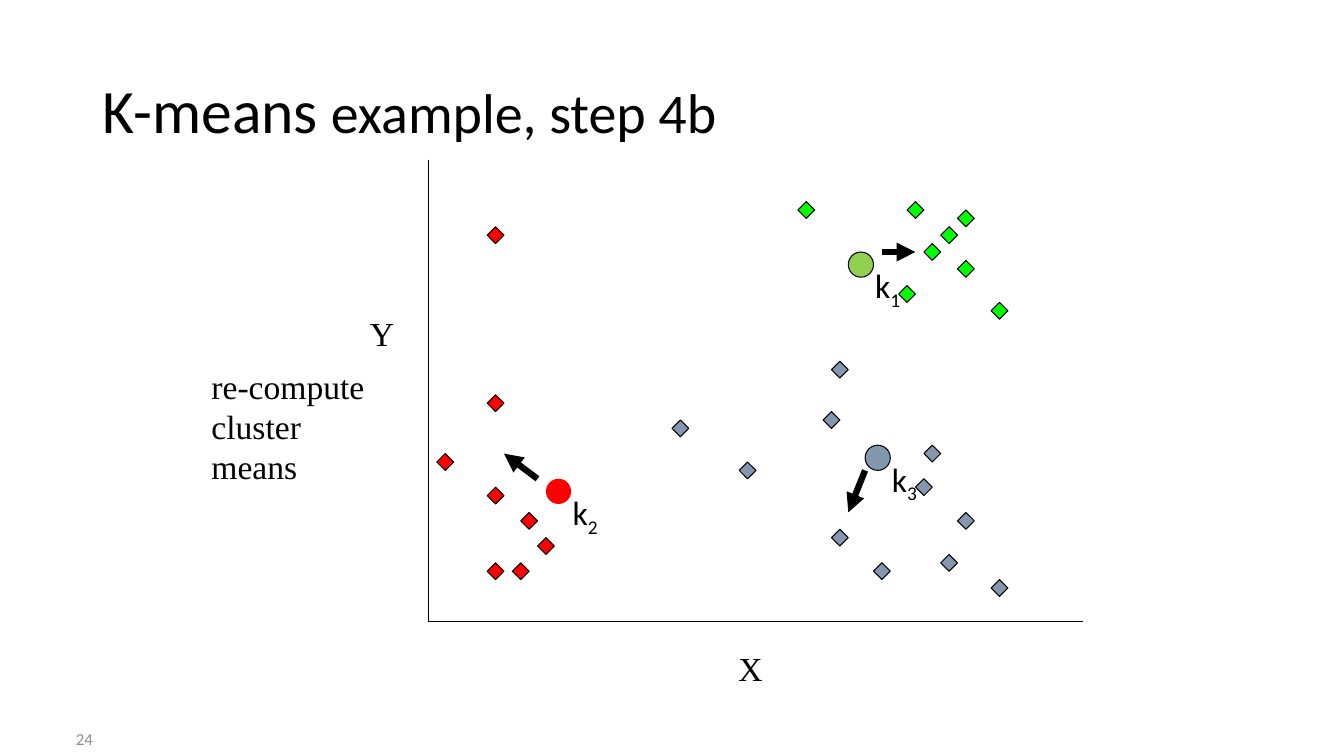
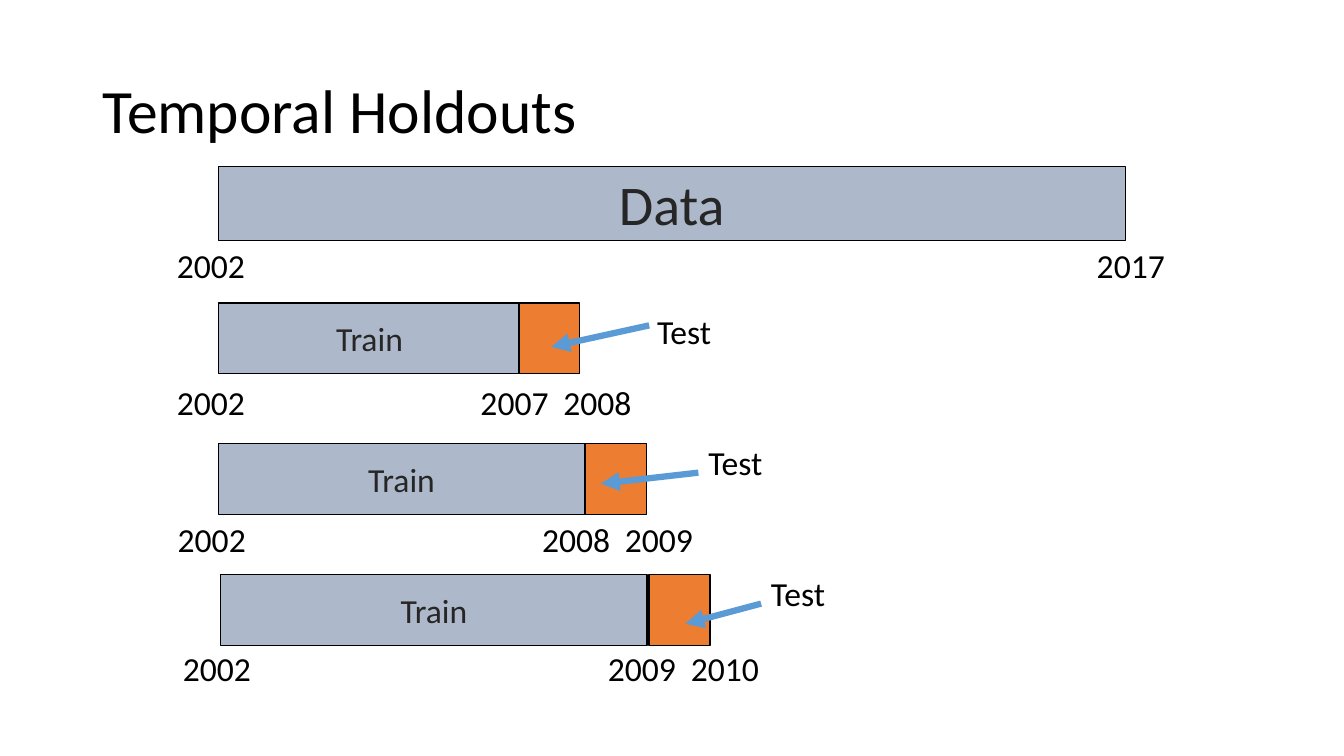
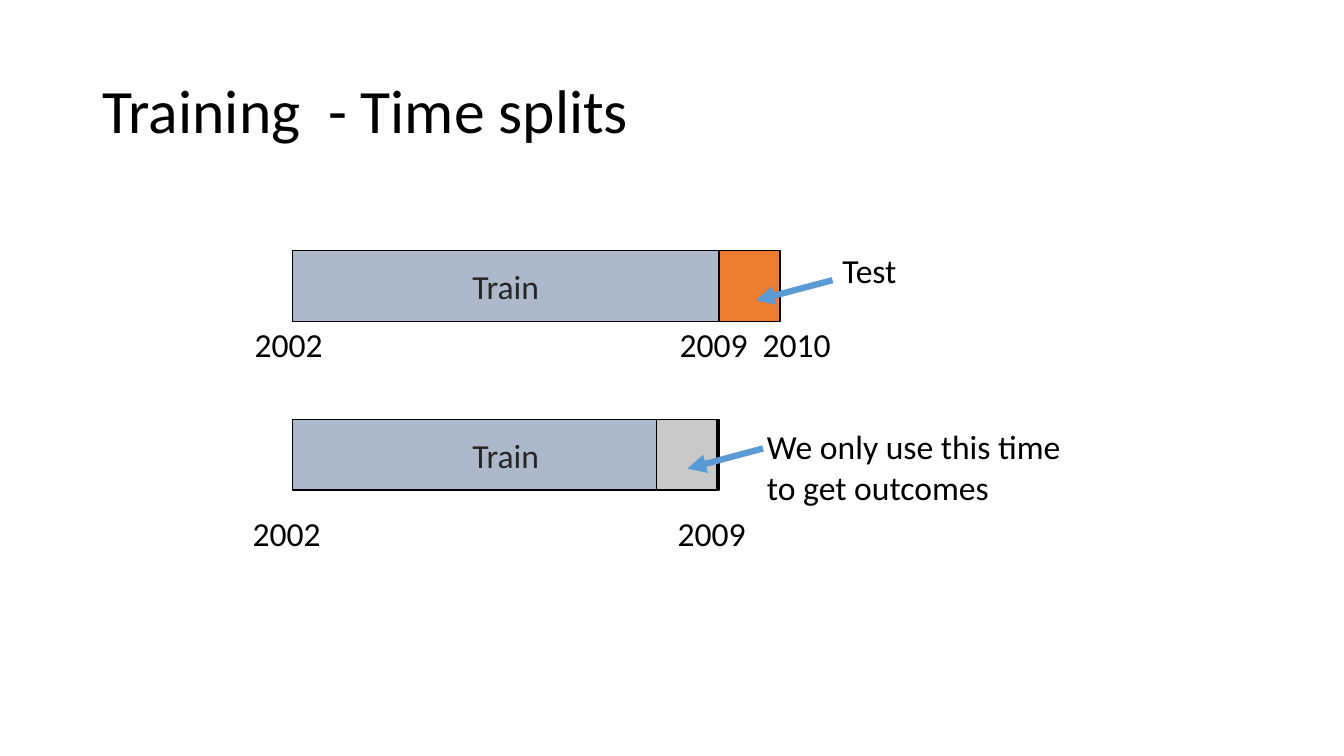
"""Build three slides on k-means clustering and temporal train/test splits."""
from lxml.etree import SubElement
from pptx import Presentation
from pptx.dml.color import RGBColor
from pptx.enum.shapes import MSO_CONNECTOR, MSO_SHAPE
from pptx.enum.text import MSO_ANCHOR, PP_ALIGN
from pptx.oxml.ns import qn
from pptx.util import Cm, Pt

BLACK, CHARCOAL, GREY = "000000", "262626", "8C8C8C"
RED, LIME, GREEN, SLATE = "FF0000", "00FF00", "92D050", "8497B0"
TRAIN, TEST, OUTCOME, POINTER = "ADB9CA", "ED7D31", "C9C9C9", "5B9BD5"
SANS, SERIF = "Calibri", "Times New Roman"
GRID = 2.54 / 12
YEAR_STEP = 1.53
LAST_YEAR_GAP = 2.09
BAR_HEIGHT = 1.78
TEST_WIDTH = 1.53
FIRST_YEAR = 2002


def draw(slide, x, y, width, height, kind=None, fill=None, outline=None, weight=1):
    """Add a preset shape, or a text box without a kind, and return its text frame."""
    place = Cm(x), Cm(y), Cm(width), Cm(height)
    if kind is None:
        frame = slide.shapes.add_textbox(*place).text_frame
        frame.word_wrap = True
        return frame
    shape = slide.shapes.add_shape(kind, *place)
    shape.shadow.inherit = False
    shape.fill.solid()
    shape.fill.fore_color.rgb = RGBColor.from_string(fill)
    if outline:
        shape.line.color.rgb = RGBColor.from_string(outline)
        shape.line.width = Pt(weight)
    else:
        shape.line.fill.background()
    return shape.text_frame


def write(paragraph, text, size=24, colour=BLACK, face=SANS):
    """Add one formatted run to a paragraph and return it."""
    run = paragraph.add_run()
    run.text = text
    run.font.size = Pt(size)
    run.font.name = face
    run.font.color.rgb = RGBColor.from_string(colour)
    return run


deck = Presentation()
deck.slide_width, deck.slide_height = Cm(33.87), Cm(19.05)
title_only = deck.slide_layouts[5]
layout_title = title_only.placeholders[0]
layout_title.left, layout_title.top = Cm(2.33), Cm(1.01)
layout_title.width, layout_title.height = Cm(29.21), Cm(3.68)

titles = [
    [("K-means", 44), (" example, step 4b", 40)],
    [("Temporal Holdouts", 44)],
    [("Training  - Time splits", 44)],
]
slides = []
for title_parts in titles:
    slide = deck.slides.add_slide(title_only)
    heading = slide.shapes.title.text_frame
    heading.vertical_anchor = MSO_ANCHOR.MIDDLE
    heading.paragraphs[0].alignment = PP_ALIGN.LEFT
    heading.paragraphs[0].line_spacing = 0.9
    for text, size in title_parts:
        write(heading.paragraphs[0], text, size)
    slides.append(slide)
kmeans, holdouts, splits = slides

page_number = draw(kmeans, 0, 18.21, 2.59, 0.84)
page_number.vertical_anchor = MSO_ANCHOR.MIDDLE
page_number.paragraphs[0].alignment = PP_ALIGN.RIGHT
write(page_number.paragraphs[0], "24", 12, GREY)

clusters = {
    RED: [(62, 61), (64, 64), (61, 67), (58, 58), (58, 27), (58, 47), (58, 67), (52, 54)],
    LIME: [(108, 24), (114, 25), (112, 27), (110, 29), (114, 31), (118, 36), (95, 24),
           (107, 34)],
    SLATE: [(80, 50), (99, 43), (99, 63), (104, 67), (109, 57), (98, 49), (88, 55),
            (114, 61), (112, 66), (110, 53), (118, 69)],
}
for colour, points in clusters.items():
    for column, row in points:
        draw(kmeans, column * GRID, row * GRID, 2 * GRID, 2 * GRID,
             MSO_SHAPE.DIAMOND, colour, BLACK, 0.75)

means = [("1", 101, 30, GREEN, BLACK), ("2", 65, 57, RED, None), ("3", 103, 53, SLATE, BLACK)]
for index, column, row, colour, outline in means:
    draw(kmeans, column * GRID, row * GRID, 3 * GRID, 3 * GRID,
         MSO_SHAPE.OVAL, colour, outline, 0.75)
    mean_name = draw(kmeans, (column + 2) * GRID, (row + 1) * GRID, 7 * GRID, 6 * GRID)
    write(mean_name.paragraphs[0], "k")
    subscript = write(mean_name.paragraphs[0], index)
    subscript.font._element.set("baseline", "-25000")

plot_labels = [("X", 18.36, 16.21, 1.3), ("Y", 9.07, 7.75, 1.3),
               ("re-compute cluster means", 5.08, 9.09, 5.08)]
for text, x, y, width in plot_labels:
    write(draw(kmeans, x, y, width, 1.28).paragraphs[0], text, face=SERIF)

lines = []
plot_lines = [
    (51, 19, 51, 74, 0.75), (51, 74, 129, 74, 0.75),
    (64, 57, 60, 54, 4.5), (103, 56, 101, 61, 4.5), (105, 30, 109, 30, 4.5),
]
for *ends, weight in plot_lines:
    lines.append((kmeans, [end * GRID for end in ends], BLACK, weight))

data_bar = draw(holdouts, 5.5, 4.19, 22.86, 1.87, MSO_SHAPE.RECTANGLE, TRAIN, BLACK)
data_bar.vertical_anchor = MSO_ANCHOR.MIDDLE
data_bar.paragraphs[0].alignment = PP_ALIGN.CENTER
write(data_bar.paragraphs[0], "Data", 40, CHARCOAL)
year_labels = [(holdouts, FIRST_YEAR, 4.21, 6.05), (holdouts, 2017, 27.39, 6.05)]

outcome_note = ["We only use this time", "to get outcomes"]
timelines = [
    (holdouts, 5.5, 7.64, 7.63, 13.08, TEST, 2007, 4.21, 9.5,
     (16.36, 8.2, 13.89, 8.74), (16.31, 7.72), ["Test"]),
    (holdouts, 5.5, 11.18, 9.24, 14.76, TEST, 2008, 4.23, 12.95,
     (17.6, 11.91, 15.14, 12.19), (17.6, 11), ["Test"]),
    (holdouts, 5.56, 14.48, 10.75, 16.36, TEST, 2009, 4.36, 16.2,
     (19.18, 15.21, 17.27, 15.72), (19.18, 14.3), ["Test"]),
    (splits, 7.37, 6.32, 10.75, 18.13, TEST, 2009, 6.17, 8.05,
     (20.98, 7.06, 19.05, 7.57), (20.98, 6.17), ["Test"]),
    (splits, 7.37, 10.57, 10.75, 16.54, OUTCOME, 2009, 6.12, 12.8,
     (19.23, 11.3, 17.32, 11.81), (19.08, 10.62), outcome_note),
]
for (slide, x, y, train_width, test_x, test_fill, split_year, years_x, years_y,
     pointer, note_at, note) in timelines:
    train_bar = draw(slide, x, y, train_width, BAR_HEIGHT, MSO_SHAPE.RECTANGLE, TRAIN, BLACK)
    train_bar.vertical_anchor = MSO_ANCHOR.MIDDLE
    train_bar.paragraphs[0].alignment = PP_ALIGN.CENTER
    write(train_bar.paragraphs[0], "Train", colour=CHARCOAL)
    draw(slide, test_x, y, TEST_WIDTH, BAR_HEIGHT, MSO_SHAPE.RECTANGLE, test_fill, BLACK)
    lines.append((slide, pointer, POINTER, 4.5))

    note_frame = draw(slide, *note_at, 8.5, 1.28)
    write(note_frame.paragraphs[0], note[0])
    for text in note[1:]:
        write(note_frame.add_paragraph(), text)

    split_x = years_x + YEAR_STEP * (split_year - FIRST_YEAR)
    year_labels.append((slide, FIRST_YEAR, years_x, years_y))
    year_labels.append((slide, split_year, split_x, years_y))
    if test_fill == TEST:
        year_labels.append((slide, split_year + 1, split_x + LAST_YEAR_GAP, years_y))

for slide, year, x, y in year_labels:
    write(draw(slide, x, y, 2.4, 1.28).paragraphs[0], str(year))

for slide, ends, colour, weight in lines:
    line = slide.shapes.add_connector(MSO_CONNECTOR.STRAIGHT, *[Cm(end) for end in ends])
    line.line.color.rgb = RGBColor.from_string(colour)
    line.line.width = Pt(weight)
    if weight > 1:
        SubElement(line.line._get_or_add_ln(), qn("a:tailEnd"), type="triangle")
    SubElement(line._element.spPr, qn("a:effectLst"))

deck.save("out.pptx")
